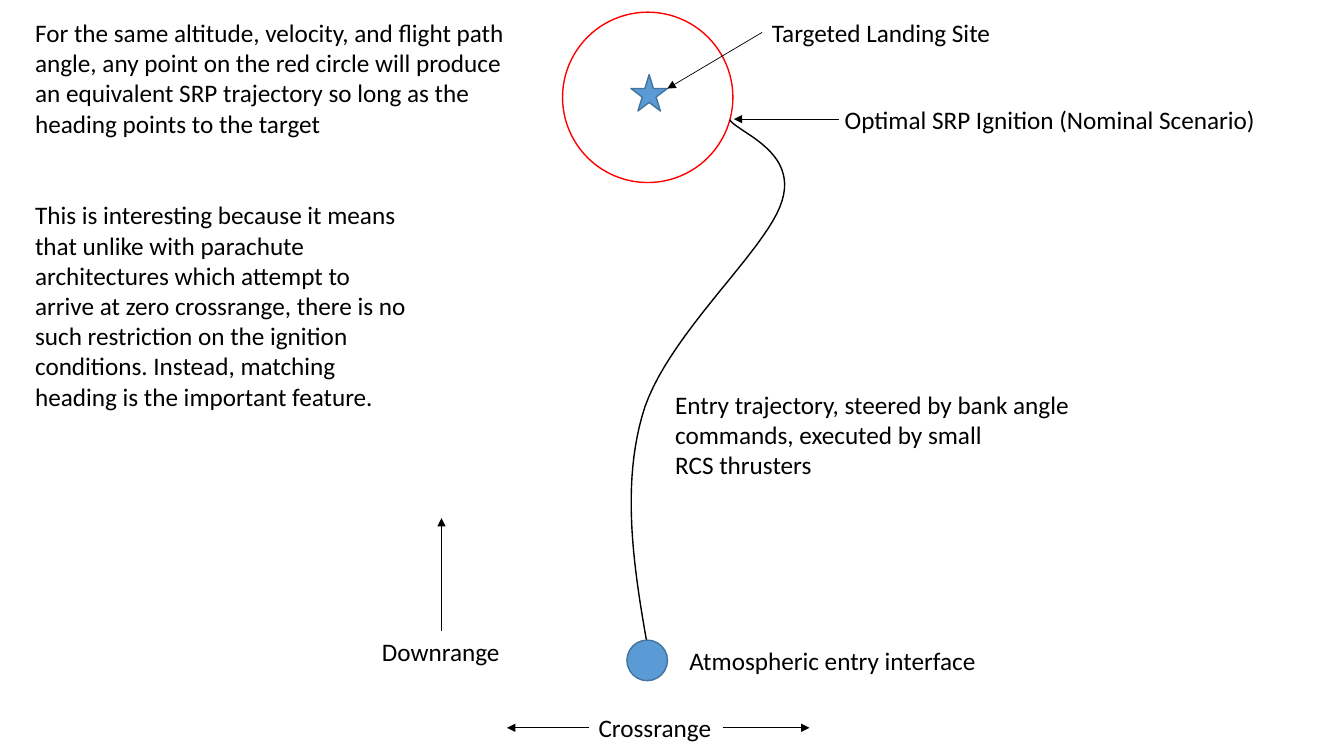
"""Build the slide on landing-site targeting and the entry trajectory."""
from dataclasses import dataclass
from typing import Optional

import pptx
import pptx.dml.color
import pptx.enum.shapes
import pptx.enum.text
import pptx.oxml
import pptx.oxml.ns
import pptx.util

Pt = pptx.util.Pt
Point = tuple[float, float]
Preset = pptx.enum.shapes.MSO_SHAPE

BLACK, RED, BLUE, DARK_BLUE = "000000", "FF0000", "5B9BD5", "43739E"
TOP, LEFT, RIGHT = 0, 1, 3
CURVE_STEPS = 24


@dataclass
class Marker:
    preset: Preset
    left: float
    top: float
    size: float
    line: str
    fill: Optional[str] = None


@dataclass
class Label:
    name: str
    left: float
    top: float
    width: float
    height: float
    paragraphs: list[str]
    wrap: bool = False


@dataclass
class Arrow:
    start: Point
    end: Point
    label: Optional[str] = None
    side: int = LEFT


TARGET_MARKERS = [
    Marker(Preset.STAR_5_POINT, 450.7, 53.3, 26, DARK_BLUE, BLUE),
    Marker(Preset.OVAL, 401.8, 8.7, 121.7, RED),
]
ENTRY_MARKER = Marker(Preset.OVAL, 447.8, 457.2, 29, DARK_BLUE, BLUE)

TRAJECTORY_START = (465.8, 479.5)
TRAJECTORY_CURVES = [
    ((454.3, 416.9), (442.8, 353.5), (458.6, 297.4)),
    ((473.8, 241.2), (548.6, 178.6), (558.7, 143.3)),
    ((569.5, 108), (527.8, 95), (521.3, 85.7)),
]

LABELS = [
    Label("site", 544.3, 8.7, 172, 29, ["Targeted Landing Site"]),
    Label("ignition", 596.2, 71.3, 311, 29, ["Optimal SRP Ignition (Nominal Scenario)"]),
    Label("trajectory", 475.2, 274.3, 314.6, 72.7,
          ["Entry trajectory, steered by bank angle commands, executed by small",
           "RCS thrusters"], True),
    Label("interface", 485.3, 457.2, 221, 29, ["Atmospheric entry interface"]),
    Label("downrange", 265.7, 450.7, 99.4, 29, ["Downrange"]),
    Label("crossrange", 420.5, 505.4, 95.8, 29, ["Crossrange"]),
    Label("circle note", 18, 8.7, 362.2, 94.3,
          ["For the same altitude, velocity, and flight path angle, any point on the red "
           "circle will produce an equivalent SRP trajectory so long as the heading points "
           "to the target"], True),
    Label("heading note", 18, 139, 280.8, 159.8,
          ["This is interesting because it means that unlike with parachute architectures "
           "which attempt to arrive at zero crossrange, there is no such restriction on the "
           "ignition conditions. Instead, matching heading is the important feature."], True),
]

ARROWS = [
    Arrow((544.3, 23.2), (476.7, 63.3), "site", LEFT),
    Arrow((599, 85.1), (524.2, 85.1)),
    Arrow((315.4, 450.7), (315.4, 370.1), "downrange", TOP),
    Arrow((516.3, 519.9), (578.2, 519.9), "crossrange", RIGHT),
    Arrow((420.5, 519.9), (362.2, 519.9), "crossrange", LEFT),
]


def color(value: str) -> pptx.dml.color.RGBColor:
    return pptx.dml.color.RGBColor.from_string(value)


def style_shape(shape, line: str, fill: Optional[str] = None) -> None:
    shape.shadow.inherit = False
    shape.line.color.rgb = color(line)
    shape.line.width = Pt(1)
    if fill:
        shape.fill.solid()
        shape.fill.fore_color.rgb = color(fill)
    else:
        shape.fill.background()


def draw_marker(slide, marker: Marker) -> None:
    shape = slide.shapes.add_shape(marker.preset, Pt(marker.left), Pt(marker.top),
                                   Pt(marker.size), Pt(marker.size))
    style_shape(shape, marker.line, marker.fill)


def curve_points(points: tuple[Point, ...]) -> list[Point]:
    result = []
    for step in range(1, CURVE_STEPS + 1):
        t = step / CURVE_STEPS
        weights = ((1 - t) ** 3, 3 * t * (1 - t) ** 2, 3 * t ** 2 * (1 - t), t ** 3)
        x, y = (sum(w * p[axis] for w, p in zip(weights, points)) for axis in (0, 1))
        result.append((Pt(x), Pt(y)))
    return result


def draw_trajectory(slide) -> None:
    start = TRAJECTORY_START
    builder = slide.shapes.build_freeform(Pt(start[0]), Pt(start[1]))
    for curve in TRAJECTORY_CURVES:
        builder.add_line_segments(curve_points((start, *curve)), close=False)
        start = curve[-1]
    style_shape(builder.convert_to_shape(), BLACK)


def draw_label(slide, label: Label):
    shape = slide.shapes.add_textbox(Pt(label.left), Pt(label.top),
                                     Pt(label.width), Pt(label.height))
    text_frame = shape.text_frame
    text_frame.text = "\n".join(label.paragraphs)
    text_frame.word_wrap = label.wrap
    text_frame.auto_size = pptx.enum.text.MSO_AUTO_SIZE.SHAPE_TO_FIT_TEXT
    for paragraph in text_frame.paragraphs:
        for run in paragraph.runs:
            run.font.name = "Calibri"
            run.font.size = Pt(18)
            run.font.color.rgb = color(BLACK)
    return shape


def draw_arrow(slide, arrow: Arrow, label_shapes: dict) -> None:
    connector = slide.shapes.add_connector(
        pptx.enum.shapes.MSO_CONNECTOR.STRAIGHT,
        *(Pt(value) for value in (*arrow.start, *arrow.end)))
    if arrow.label:
        connector.begin_connect(label_shapes[arrow.label], arrow.side)
    connector.line.color.rgb = color(BLACK)
    connector.line.width = Pt(0.5)
    namespace = pptx.oxml.ns.nsdecls("a")
    connector.line._get_or_add_ln().append(
        pptx.oxml.parse_xml(f'<a:tailEnd {namespace} type="triangle"/>'))
    connector._element.spPr.append(pptx.oxml.parse_xml(f"<a:effectLst {namespace}/>"))


def main() -> None:
    presentation = pptx.Presentation()
    presentation.slide_width, presentation.slide_height = Pt(960), Pt(540)
    slide = presentation.slides.add_slide(presentation.slide_layouts[6])
    for marker in TARGET_MARKERS:
        draw_marker(slide, marker)
    draw_trajectory(slide)
    label_shapes = {label.name: draw_label(slide, label) for label in LABELS}
    for arrow in ARROWS:
        draw_arrow(slide, arrow, label_shapes)
    draw_marker(slide, ENTRY_MARKER)
    presentation.save("out.pptx")


if __name__ == "__main__":
    main()
